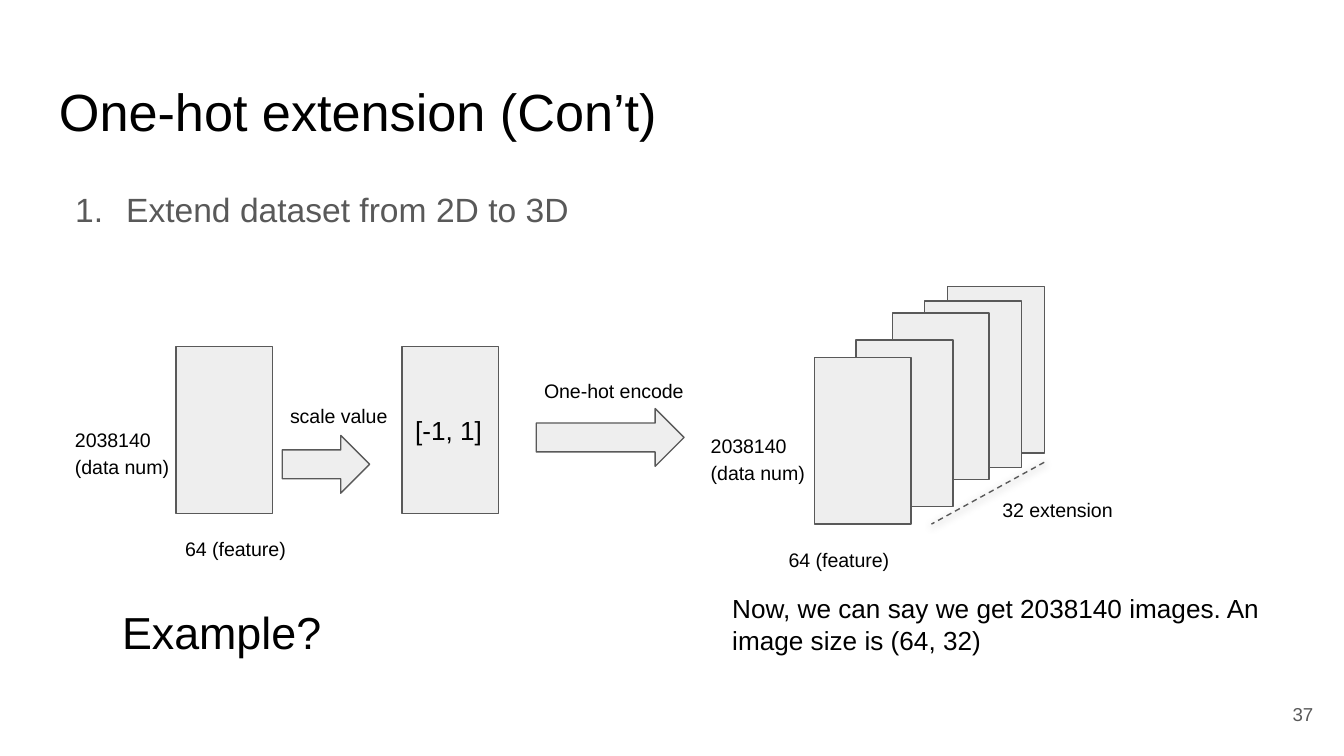
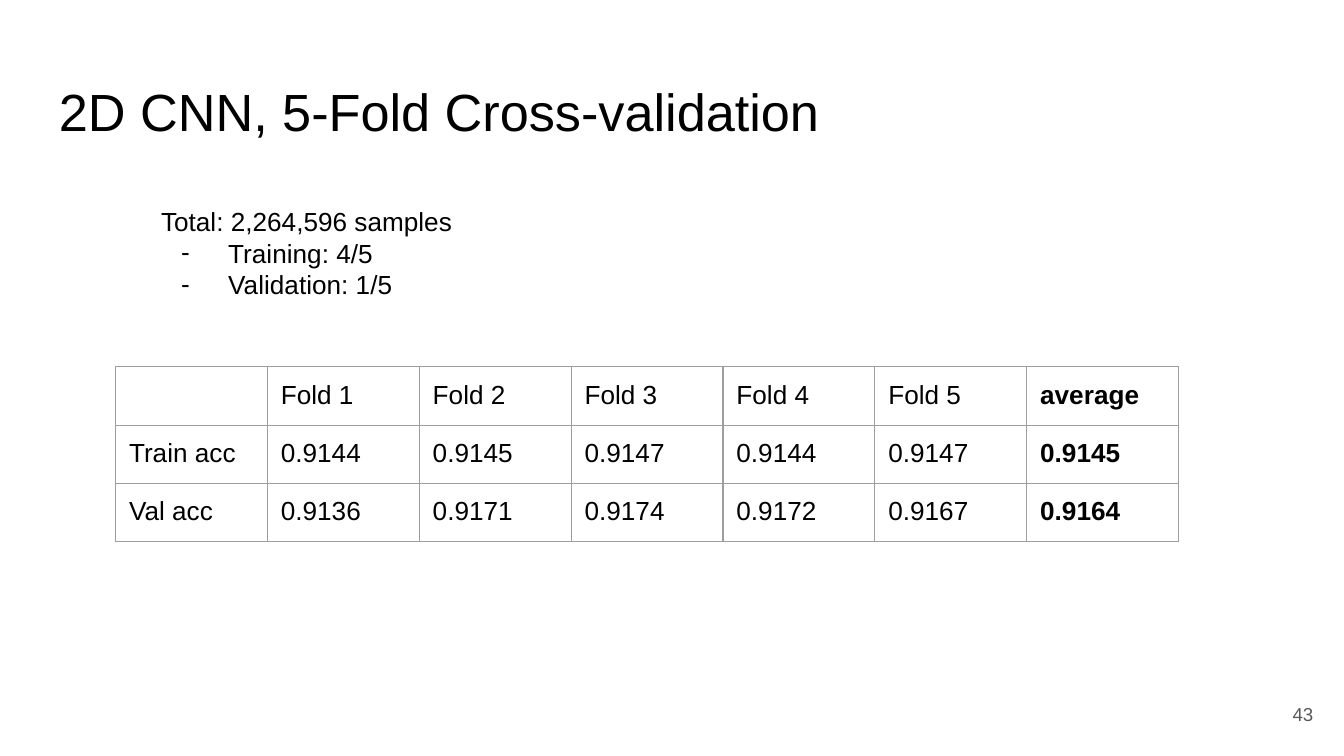
from dataclasses import dataclass, field
from typing import Any, NamedTuple

from lxml.etree import SubElement
from pptx import Presentation
from pptx.dml.color import RGBColor
from pptx.enum.dml import MSO_LINE
from pptx.enum.shapes import MSO_CONNECTOR, MSO_SHAPE
from pptx.enum.text import MSO_ANCHOR, PP_ALIGN
from pptx.oxml.ns import qn
from pptx.slide import Slide
from pptx.util import Emu, Pt

# Shared style: 100 px to the inch
EMU_PER_PX = 9144
PAGE_WIDTH = 1000
FONT = "Arial"
BLACK, GRAY, PALE, GRID, WHITE = "000000", "595959", "EEEEEE", "9E9E9E", "FFFFFF"
INSET = 10
LINE_WIDTH = Pt(0.75)
FRAME = {f"margin_{side}": Emu(INSET * EMU_PER_PX)
         for side in ("left", "right", "top", "bottom")}
BORDERS = ("lnL", "lnR", "lnT", "lnB")


class Area(NamedTuple):
    left: int
    top: int
    width: int
    height: int


class Bullet(NamedTuple):
    tag: str
    attributes: dict[str, str]
    hanging: int


@dataclass
class Label:
    area: Area
    lines: list[str]
    size: float = 14
    color: str = BLACK
    bullet: Bullet | None = None
    bullet_from: int = 0
    frame: dict[str, Any] = field(default_factory=dict)
    para: dict[str, Any] = field(default_factory=dict)


@dataclass
class Block:
    area: Area
    kind: MSO_SHAPE = MSO_SHAPE.RECTANGLE
    text: str = ""


NUMBERED = Bullet("a:buAutoNum", {"type": "arabicPeriod"}, 38)
DASHED = Bullet("a:buChar", {"char": "-"}, 35)
SPACED = {"line_spacing": 1.15}


def px(length: int) -> Emu:
    return Emu(length * EMU_PER_PX)


def rgb(color: str) -> RGBColor:
    return RGBColor.from_string(color)


def apply(target: Any, values: dict[str, Any]) -> None:
    for name, value in values.items():
        setattr(target, name, value)


def emu(area: Area) -> list[Emu]:
    return [px(length) for length in area]


def add_color(parent: Any, color: str) -> Any:
    return SubElement(parent, qn("a:srgbClr"), val=color)


def write(para: Any, text: str, size: float, color: str, bold: bool = False) -> None:
    if text:
        span = para.add_run()
        span.text = text
        apply(span.font, {"name": FONT, "size": Pt(size), "bold": bold})
        span.font.color.rgb = rgb(color)
    # The paragraph end carries the size too, so empty cells stay low
    SubElement(para._p, qn("a:endParaRPr"), sz=str(round(size * 100)))


def add_bullet(para: Any, bullet: Bullet, size: float, color: str) -> None:
    properties = para._p.get_or_add_pPr()
    properties.set("marL", str(px(50)))
    properties.set("indent", str(-px(bullet.hanging)))
    add_color(SubElement(properties, qn("a:buClr")), color)
    SubElement(properties, qn("a:buSzPts"), val=str(round(size * 100)))
    SubElement(properties, qn("a:buFont"), typeface=FONT)
    SubElement(properties, qn(bullet.tag), bullet.attributes)


def draw_label(page: Slide, label: Label) -> None:
    frame = page.shapes.add_textbox(*emu(label.area)).text_frame
    apply(frame, {"word_wrap": True, **FRAME, **label.frame})
    for index, line in enumerate(label.lines):
        para = frame.paragraphs[0] if index == 0 else frame.add_paragraph()
        apply(para, label.para)
        if label.bullet and index >= label.bullet_from:
            add_bullet(para, label.bullet, label.size, label.color)
        write(para, line, label.size, label.color)


def draw_block(page: Slide, block: Block) -> None:
    box = page.shapes.add_shape(block.kind, *emu(block.area))
    box.shadow.inherit = False
    box.fill.solid()
    box.fill.fore_color.rgb = rgb(PALE)
    box.line.color.rgb = rgb(GRAY)
    box.line.width = LINE_WIDTH
    if block.text:
        apply(box.text_frame, {**FRAME, "vertical_anchor": MSO_ANCHOR.MIDDLE})
        para = box.text_frame.paragraphs[0]
        para.alignment = PP_ALIGN.LEFT
        write(para, block.text, 14, BLACK)


def draw_depth_line(page: Slide, start: tuple[int, int], end: tuple[int, int]) -> None:
    line = page.shapes.add_connector(
        MSO_CONNECTOR.STRAIGHT, *(px(value) for value in (*start, *end)))
    line.line.color.rgb = rgb(GRAY)
    apply(line.line, {"width": LINE_WIDTH, "dash_style": MSO_LINE.DASH})
    effects = SubElement(line._element.spPr, qn("a:effectLst"))
    shadow = SubElement(effects, qn("a:outerShdw"), blurRad=str(Pt(4.5)),
                        dist=str(Pt(1.5)), dir="5400000", algn="bl", rotWithShape="0")
    SubElement(add_color(shadow, BLACK), qn("a:alpha"), val="50000")


def add_borders(cell: Any) -> None:
    properties = cell._tc.get_or_add_tcPr()
    for index, name in enumerate(BORDERS):
        border = SubElement(properties, qn(f"a:{name}"), w=str(LINE_WIDTH))
        add_color(SubElement(border, qn("a:solidFill")), GRID)
        properties.insert(index, border)


def draw_table(page: Slide, area: Area, rows: list[list[str]]) -> None:
    table = page.shapes.add_table(len(rows), len(rows[0]), *emu(area)).table
    apply(table, {"first_row": False, "horz_banding": False})
    for row_index, row in enumerate(rows):
        for column_index, text in enumerate(row):
            cell = table.cell(row_index, column_index)
            apply(cell, FRAME)
            cell.fill.background()
            add_borders(cell)
            is_average = column_index == len(row) - 1
            write(cell.text_frame.paragraphs[0], text, 14, BLACK, is_average)


def add_page(deck: Any, title: str, number: int) -> Slide:
    page = deck.slides.add_slide(deck.slide_layouts[6])
    page.background.fill.solid()
    page.background.fill.fore_color.rgb = rgb(WHITE)
    draw_label(page, Label(Area(34, 49, 932, 63), [title], 28))
    draw_label(page, Label(Area(927, 510, 60, 43), [str(number)], 10, GRAY,
                           frame={"vertical_anchor": MSO_ANCHOR.MIDDLE},
                           para={"alignment": PP_ALIGN.RIGHT}))
    return page


def small(area: Area, *lines: str, spaced: bool = True) -> Label:
    return Label(area, list(lines), 10.5, para=SPACED if spaced else {})


def matrix(left: int, top: int, text: str = "") -> Block:
    return Block(Area(left, top, 72, 124), text=text)


def build_extension(deck: Any) -> None:
    page = add_page(deck, "One-hot extension (Con’t)", 37)
    draw_label(page, Label(Area(34, 126, 932, 43), ["Extend dataset from 2D to 3D"],
                           18, GRAY, NUMBERED, para=SPACED))

    # Matrices, the stack from back to front, and arrows
    stack = [(705, 213), (688, 224), (664, 233), (637, 253), (606, 266)]
    blocks = [
        matrix(131, 258),
        matrix(299, 258, "[-1, 1]"),
        *(matrix(left, top) for left, top in stack),
        Block(Area(399, 304, 110, 43), MSO_SHAPE.RIGHT_ARROW),
        Block(Area(210, 324, 65, 43), MSO_SHAPE.RIGHT_ARROW),
    ]
    for block in blocks:
        draw_block(page, block)
    draw_depth_line(page, (777, 344), (693, 390))

    # Dimension, step and closing texts
    labels = [
        *(small(Area(left, top, 107, 48), "2038140", "(data num)")
          for left, top in ((46, 306), (519, 310))),
        *(small(Area(left, top, 97, 33), "64 (feature)")
          for left, top in ((128, 387), (577, 395))),
        small(Area(736, 358, 113, 33), "32 extension"),
        small(Area(395, 273, 130, 33), "One-hot encode", spaced=False),
        small(Area(206, 292, 110, 33), "scale value", spaced=False),
        Label(Area(81, 440, 444, 52), ["Example?"], 24),
        Label(Area(535, 431, 444, 75),
              ["Now, we can say we get 2038140 images. An image size is (64, 32)"]),
    ]
    for label in labels:
        draw_label(page, label)


def build_validation(deck: Any) -> None:
    page = add_page(deck, "2D CNN, 5-Fold Cross-validation", 43)
    draw_label(page, Label(
        Area(110, 143, 446, 106),
        ["Total: 2,264,596 samples", "Training: 4/5", "Validation: 1/5"],
        bullet=DASHED, bullet_from=1))
    draw_table(page, Area(86, 273, 7 * 113, 3 * 42), [
        ["", *(f"Fold {fold}" for fold in range(1, 6)), "average"],
        ["Train acc", "0.9144", "0.9145", "0.9147", "0.9144", "0.9147", "0.9145"],
        ["Val acc", "0.9136", "0.9171", "0.9174", "0.9172", "0.9167", "0.9164"],
    ])


def main() -> None:
    deck = Presentation()
    # Pages are 16:9
    width = px(PAGE_WIDTH)
    apply(deck, {"slide_width": width, "slide_height": Emu(width * 9 // 16)})
    build_extension(deck)
    build_validation(deck)
    deck.save("out.pptx")


if __name__ == "__main__":
    main()
